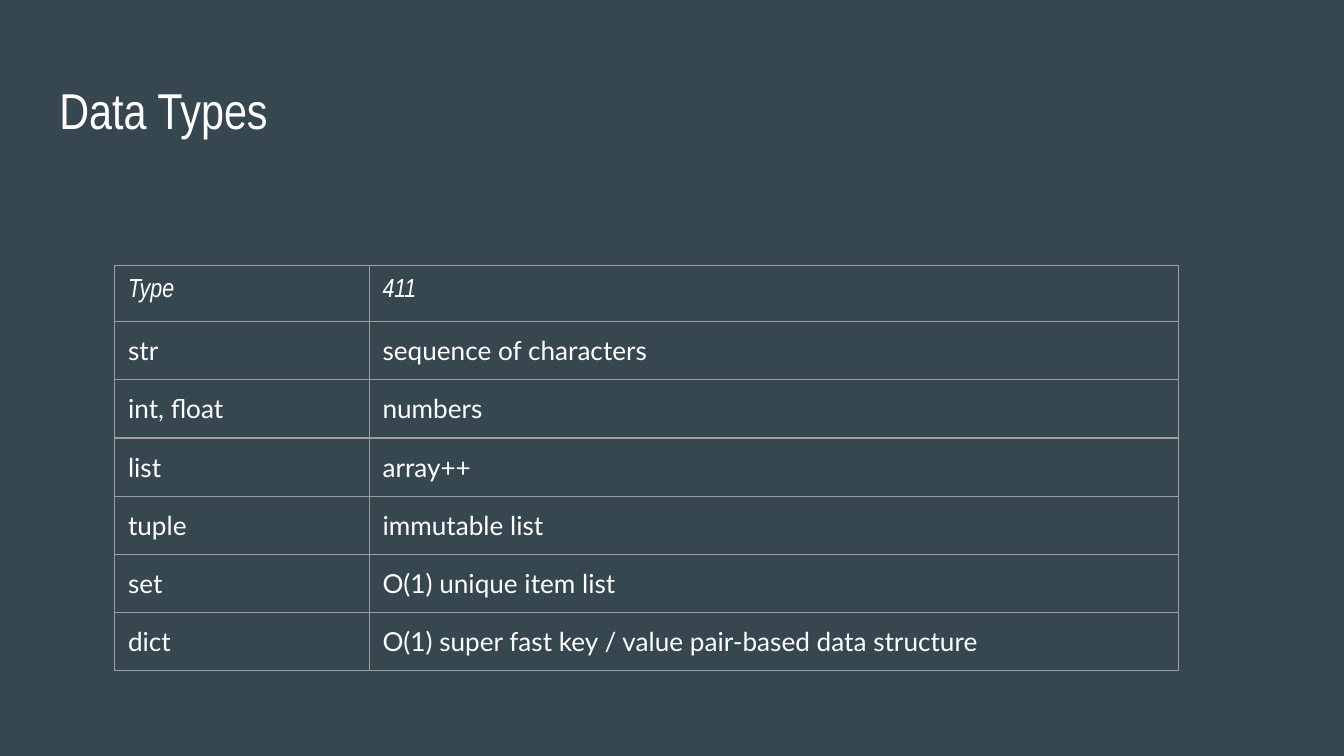
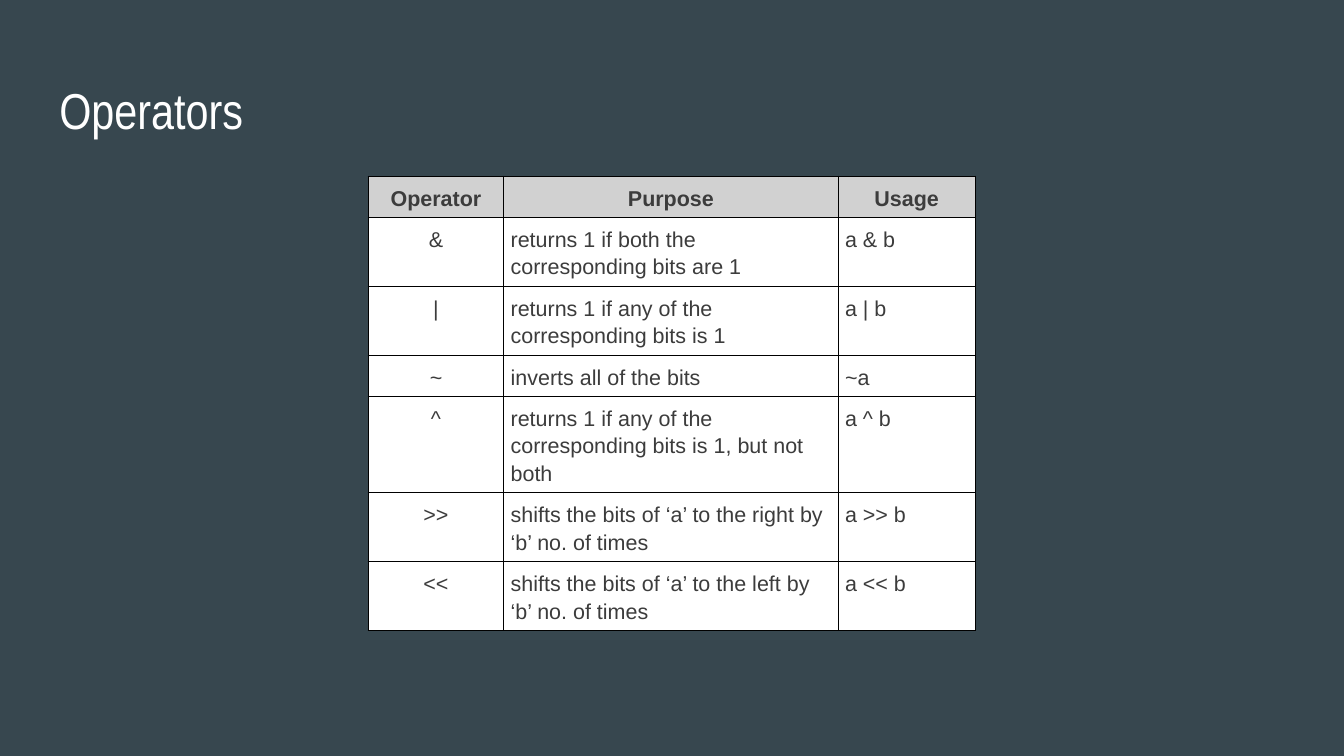
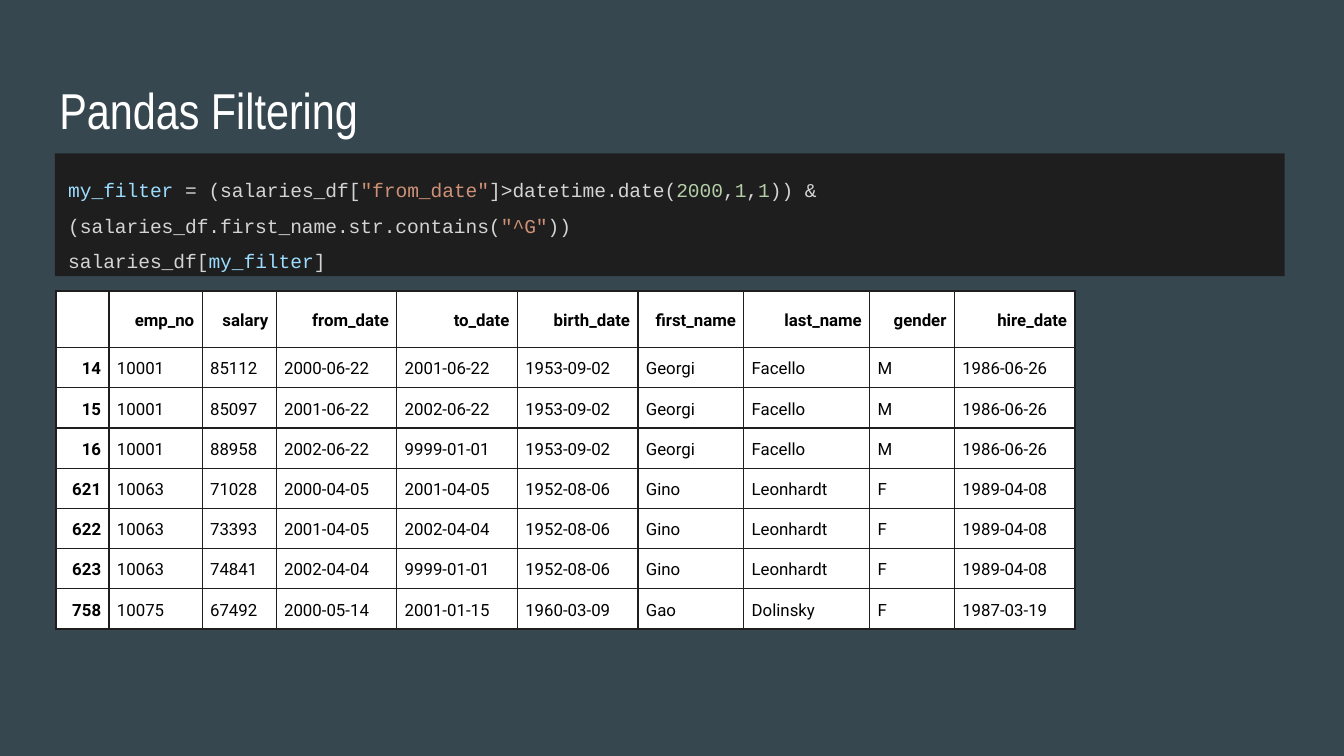
from dataclasses import dataclass, replace

from lxml import etree
from pptx import Presentation
from pptx.dml.color import RGBColor
from pptx.enum import shapes, text
from pptx.oxml import ns
from pptx.util import Cm, Pt

SLATE = RGBColor(0x37, 0x47, 0x4F)
WHITE = RGBColor(0xFF, 0xFF, 0xFF)
BLACK = RGBColor(0x00, 0x00, 0x00)
RULE_GREY = RGBColor(0x9E, 0x9E, 0x9E)
HEADER_GREY = RGBColor(0xD1, 0xD1, 0xD1)
TEXT_GREY = RGBColor(0x3C, 0x3C, 0x3C)
EDITOR = RGBColor(0x1E, 0x1E, 0x1E)
CODE_PLAIN = RGBColor(0xD4, 0xD4, 0xD4)
CODE_NAME = RGBColor(0x9C, 0xDC, 0xFE)
CODE_STRING = RGBColor(0xCE, 0x91, 0x78)
CODE_NUMBER = RGBColor(0xB5, 0xCE, 0xA8)

TITLE_ONLY = 5
INSET = Cm(0.25)
LEFT, CENTER, RIGHT = text.PP_ALIGN.LEFT, text.PP_ALIGN.CENTER, text.PP_ALIGN.RIGHT


@dataclass(frozen=True)
class CellStyle:
    font: str
    size: float
    color: RGBColor
    bold: bool = False
    italic: bool = False
    align: text.PP_ALIGN = LEFT
    fill: RGBColor | None = None
    line_spacing: float = 1.0
    space_before: float = 0
    anchor: text.MSO_ANCHOR = text.MSO_ANCHOR.TOP


@dataclass(frozen=True)
class Grid:
    left: float
    top: float
    col_widths: list[float]
    row_heights: list[float]
    inset: Cm
    border: RGBColor
    header: CellStyle
    first_col: CellStyle
    body: CellStyle

    def style(self, row: int, col: int) -> CellStyle:
        if row == 0:
            return self.header
        return self.first_col if col == 0 else self.body


TYPE_BODY = CellStyle("Lato", 14, WHITE)
TYPE_GRID = Grid(
    2.17, 5.02, [4.81, 15.29], [1.06] + [1.1] * 6, INSET, RULE_GREY,
    header=replace(TYPE_BODY, font="Arial Narrow", italic=True),
    first_col=TYPE_BODY,
    body=TYPE_BODY,
)
TYPE_ROWS = [
    ("Type", "411"),
    ("str", "sequence of characters"),
    ("int, float", "numbers"),
    ("list", "array++"),
    ("tuple", "immutable list"),
    ("set", "O(1) unique item list"),
    ("dict", "O(1) super fast key / value pair-based data structure"),
]

OPERATOR_BODY = CellStyle("Arial", 11.5, TEXT_GREY, fill=WHITE, line_spacing=1.15)
OPERATOR_GRID = Grid(
    6.96, 3.33, [2.56, 6.32, 2.59], [0.78, 1.3, 1.3, 0.78, 1.81, 1.3, 1.3], Cm(0.13), BLACK,
    header=replace(OPERATOR_BODY, bold=True, align=CENTER, fill=HEADER_GREY),
    first_col=replace(OPERATOR_BODY, align=CENTER),
    body=OPERATOR_BODY,
)
OPERATOR_ROWS = [
    ("Operator", "Purpose", "Usage"),
    ("&", "returns 1 if both the corresponding bits are 1", "a & b"),
    ("|", "returns 1 if any of the corresponding bits is 1", "a | b"),
    ("~", "inverts all of the bits", "~a"),
    ("^", "returns 1 if any of the corresponding bits is 1, but not both", "a ^ b"),
    (">>", "shifts the bits of ‘a’ to the right by ‘b’ no. of times", "a >> b"),
    ("<<", "shifts the bits of ‘a’ to the left by ‘b’ no. of times", "a << b"),
]

SALARY_BODY = CellStyle("Roboto", 9, BLACK, fill=WHITE, line_spacing=1.15, space_before=9,
                        anchor=text.MSO_ANCHOR.MIDDLE)
SALARY_LABEL = replace(SALARY_BODY, bold=True, align=RIGHT)
SALARY_GRID = Grid(
    1.06, 5.5, [1, 1.76, 1.4, 2.28, 2.28, 2.28, 2, 2.38, 1.6, 2.28], [1.07] + [0.76] * 7,
    Cm(0.15), EDITOR,
    header=SALARY_LABEL,
    first_col=SALARY_LABEL,
    body=SALARY_BODY,
)
GEORGI = ("1953-09-02", "Georgi", "Facello", "M", "1986-06-26")
GINO = ("1952-08-06", "Gino", "Leonhardt", "F", "1989-04-08")
GAO = ("1960-03-09", "Gao", "Dolinsky", "F", "1987-03-19")
SALARY_ROWS = [
    ("", "emp_no", "salary", "from_date", "to_date",
     "birth_date", "first_name", "last_name", "gender", "hire_date"),
    ("14", "10001", "85112", "2000-06-22", "2001-06-22", *GEORGI),
    ("15", "10001", "85097", "2001-06-22", "2002-06-22", *GEORGI),
    ("16", "10001", "88958", "2002-06-22", "9999-01-01", *GEORGI),
    ("621", "10063", "71028", "2000-04-05", "2001-04-05", *GINO),
    ("622", "10063", "73393", "2001-04-05", "2002-04-04", *GINO),
    ("623", "10063", "74841", "2002-04-04", "9999-01-01", *GINO),
    ("758", "10075", "67492", "2000-05-14", "2001-01-15", *GAO),
]

FILTER_CODE = [
    [
        ("my_filter", CODE_NAME),
        (" = (salaries_df[", CODE_PLAIN),
        ('"from_date"', CODE_STRING),
        ("]>datetime.date(", CODE_PLAIN),
        ("2000", CODE_NUMBER),
        (",", CODE_PLAIN),
        ("1", CODE_NUMBER),
        (",", CODE_PLAIN),
        ("1", CODE_NUMBER),
        (")) & (salaries_df.first_name.str.contains(", CODE_PLAIN),
        ('"^G"', CODE_STRING),
        ("))", CODE_PLAIN),
    ],
    [("salaries_df[", CODE_PLAIN), ("my_filter", CODE_NAME), ("]", CODE_PLAIN)],
]


def set_insets(box, inset: Cm) -> None:
    """Give a text frame or a table cell the same margin on every side."""
    box.margin_left = box.margin_top = box.margin_right = box.margin_bottom = inset


def add_run(p, content: str, font: str, size: float, color: RGBColor,
            bold: bool = False, italic: bool = False) -> None:
    r = p.add_run()
    r.text = content
    r.font.name, r.font.size = font, Pt(size)
    r.font.bold, r.font.italic = bold, italic
    r.font.color.rgb = color


def add_titled_slide(prs, title: str):
    slide = prs.slides.add_slide(prs.slide_layouts[TITLE_ONLY])
    sp = slide.shapes.title
    sp.left, sp.top, sp.width, sp.height = Cm(0.87), Cm(1.24), Cm(23.67), Cm(1.6)
    tf = sp.text_frame
    set_insets(tf, INSET)
    tf.auto_size = text.MSO_AUTO_SIZE.NONE
    tf.vertical_anchor = text.MSO_ANCHOR.TOP
    p = tf.paragraphs[0]
    p.alignment = LEFT
    add_run(p, title, "Arial Narrow", 27, WHITE)
    return slide


def set_borders(cell, color: RGBColor) -> None:
    tc_pr = cell._tc.get_or_add_tcPr()
    for side in ("a:lnL", "a:lnR", "a:lnT", "a:lnB"):
        ln = etree.SubElement(tc_pr, ns.qn(side), w=str(Pt(0.75)))
        fill = etree.SubElement(ln, ns.qn("a:solidFill"))
        etree.SubElement(fill, ns.qn("a:srgbClr"), val=str(color))


def fill_cell(cell, content: str, style: CellStyle, inset: Cm, border: RGBColor) -> None:
    set_borders(cell, border)
    if style.fill is None:
        cell.fill.background()
    else:
        cell.fill.solid()
        cell.fill.fore_color.rgb = style.fill
    set_insets(cell, inset)
    cell.vertical_anchor = style.anchor
    if not content:
        return
    p = cell.text_frame.paragraphs[0]
    p.alignment = style.align
    p.line_spacing = style.line_spacing
    p.space_before = Pt(style.space_before)
    add_run(p, content, style.font, style.size, style.color, style.bold, style.italic)


def add_grid(slide, grid: Grid, rows: list[tuple[str, ...]]) -> None:
    frame = slide.shapes.add_table(
        len(rows), len(grid.col_widths), Cm(grid.left), Cm(grid.top),
        Cm(sum(grid.col_widths)), Cm(sum(grid.row_heights)))
    table = frame.table
    table.first_row = table.horz_banding = False
    for column, width in zip(table.columns, grid.col_widths):
        column.width = Cm(width)
    for i, (row, height) in enumerate(zip(rows, grid.row_heights)):
        table.rows[i].height = Cm(height)
        for j, content in enumerate(row):
            fill_cell(table.cell(i, j), content, grid.style(i, j), grid.inset, grid.border)


def add_code_panel(slide, lines: list[list[tuple[str, RGBColor]]]) -> None:
    sp = slide.shapes.add_shape(
        shapes.MSO_SHAPE.RECTANGLE, Cm(1.04), Cm(2.9), Cm(23.24), Cm(2.32))
    sp.shadow.inherit = False
    sp.fill.solid()
    sp.fill.fore_color.rgb = EDITOR
    sp.line.fill.background()
    tf = sp.text_frame
    set_insets(tf, INSET)
    tf.word_wrap = True
    tf.auto_size = text.MSO_AUTO_SIZE.SHAPE_TO_FIT_TEXT
    tf.vertical_anchor = text.MSO_ANCHOR.TOP
    for i, line in enumerate(lines):
        p = tf.add_paragraph() if i else tf.paragraphs[0]
        p.alignment = LEFT
        p.line_spacing = 1.5
        for content, color in line:
            add_run(p, content, "Courier New", 10.5, color)


def main() -> None:
    prs = Presentation()
    prs.slide_width, prs.slide_height = Cm(25.4), Cm(14.29)
    background = prs.slide_master.background.fill
    background.solid()
    background.fore_color.rgb = SLATE

    add_grid(add_titled_slide(prs, "Data Types"), TYPE_GRID, TYPE_ROWS)
    add_grid(add_titled_slide(prs, "Operators"), OPERATOR_GRID, OPERATOR_ROWS)
    filtering = add_titled_slide(prs, "Pandas Filtering")
    add_code_panel(filtering, FILTER_CODE)
    add_grid(filtering, SALARY_GRID, SALARY_ROWS)

    prs.save("out.pptx")


if __name__ == "__main__":
    main()
